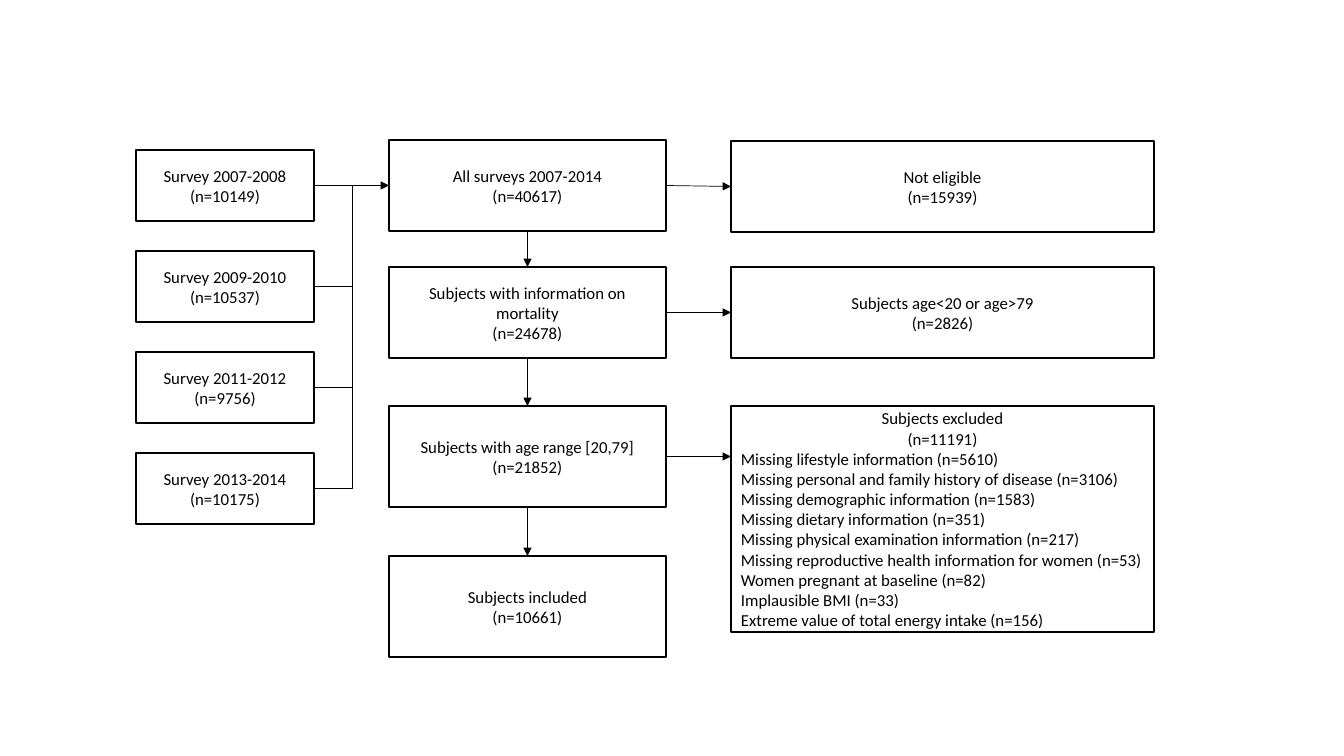
from pptx import Presentation, util as u
from pptx.dml.color import RGBColor
from pptx.enum import shapes, text
from pptx.oxml.ns import qn
from lxml import etree

EMU_PER_PX = 914400 / 100.8
BOTTOM, RIGHT = 2, 3
TOP, LEFT = 0, 1


def px(length):
    return u.Emu(round(length * EMU_PER_PX))


def colour(hex_string):
    return RGBColor.from_string(hex_string)


class FlowChart:
    FONT, SIZE = "Calibri", u.Pt(12)
    INK, PAPER = "000000", "FFFFFF"
    BOX_LINE, ARROW_LINE = u.Pt(1), u.Pt(0.5)

    def __init__(self, slide):
        self.slide = slide

    def box(self, left, top, width, height, centred, listed=()):
        """Draw a box with centred lines, then left-aligned listed lines."""
        shape = self.slide.shapes.add_shape(
            shapes.MSO_SHAPE.RECTANGLE, px(left), px(top), px(width), px(height))
        shape.shadow.inherit = False
        shape.fill.solid()
        shape.fill.fore_color.rgb = colour(self.PAPER)
        shape.line.color.rgb = colour(self.INK)
        shape.line.width = self.BOX_LINE
        frame = shape.text_frame
        frame.word_wrap = True
        frame.vertical_anchor = text.MSO_ANCHOR.MIDDLE
        frame.margin_top = frame.margin_bottom = 0
        frame.text = "\n".join([*centred, *listed])
        for index, paragraph in enumerate(frame.paragraphs):
            paragraph.alignment = (text.PP_ALIGN.CENTER if index < len(centred)
                                   else text.PP_ALIGN.LEFT)
            paragraph.font.name = self.FONT
            paragraph.font.size = self.SIZE
            paragraph.font.color.rgb = colour(self.INK)
        return shape

    def connector(self, begin, end, kind=shapes.MSO_CONNECTOR.STRAIGHT, arrow=False):
        line = self.slide.shapes.add_connector(kind, *map(px, (*begin, *end)))
        line.line.color.rgb = colour(self.INK)
        line.line.width = self.ARROW_LINE
        properties = line._element.spPr
        if arrow:
            etree.SubElement(properties.find(qn("a:ln")), qn("a:tailEnd"), type="triangle")
        etree.SubElement(properties, qn("a:effectLst"))
        return line

    def arrow(self, source, source_side, target, target_side):
        """Join the middles of two box sides with an arrow."""
        line = self.connector((0, 0), (0, 0), arrow=True)
        line.begin_connect(source, source_side)
        line.end_connect(target, target_side)

    def corner(self, begin, end):
        """Run horizontally from begin, then vertically to end."""
        line = self.connector(begin, end, shapes.MSO_CONNECTOR.ELBOW)
        line._element.spPr.find(qn("a:prstGeom")).set("prst", "bentConnector2")


SURVEYS = [
    ("Survey 2007-2008", "(n=10149)"),
    ("Survey 2009-2010", "(n=10537)"),
    ("Survey 2011-2012", "(n=9756)"),
    ("Survey 2013-2014", "(n=10175)"),
]
STAGES = [
    (140, 91, ("All surveys 2007-2014", "(n=40617)")),
    (267, 91, ("Subjects with information on mortality", "(n=24678)")),
    (406, 101, ("Subjects with age range [20,79]", "(n=21852)")),
    (556, 101, ("Subjects included", "(n=10661)")),
]
REASONS = [
    "Missing lifestyle information (n=5610)",
    "Missing personal and family history of disease (n=3106)",
    "Missing demographic information (n=1583)",
    "Missing dietary information (n=351)",
    "Missing physical examination information (n=217)",
    "Missing reproductive health information for women (n=53)",
    "Women pregnant at baseline (n=82)",
    "Implausible BMI (n=33)",
    "Extreme value of total energy intake (n=156)",
]
REMOVED = [
    (141, 91, ("Not eligible", "(n=15939)"), ()),
    (267, 91, ("Subjects age<20 or age>79", "(n=2826)"), ()),
    (406, 226, ("Subjects excluded", "(n=11191)"), REASONS),
]
SURVEY_LEFT, SURVEY_TOP, SURVEY_WIDTH, SURVEY_HEIGHT, SURVEY_STEP = 136, 150, 178, 71, 101
STAGE_LEFT, STAGE_WIDTH = 389, 277
REMOVED_LEFT, REMOVED_WIDTH = 731, 423
TRUNK_X = 352


def main():
    presentation = Presentation()
    presentation.slide_width, presentation.slide_height = px(1344), px(756)
    chart = FlowChart(presentation.slides.add_slide(presentation.slide_layouts[6]))

    surveys = [chart.box(SURVEY_LEFT, SURVEY_TOP + row * SURVEY_STEP,
                         SURVEY_WIDTH, SURVEY_HEIGHT, lines)
               for row, lines in enumerate(SURVEYS)]
    stages = [chart.box(STAGE_LEFT, top, STAGE_WIDTH, height, lines)
              for top, height, lines in STAGES]
    removed = [chart.box(REMOVED_LEFT, top, REMOVED_WIDTH, height, lines, listed)
               for top, height, lines, listed in REMOVED]

    survey_right = SURVEY_LEFT + SURVEY_WIDTH
    survey_middles = [SURVEY_TOP + SURVEY_HEIGHT / 2 + row * SURVEY_STEP
                      for row in range(len(SURVEYS))]
    chart.arrow(surveys[0], RIGHT, stages[0], LEFT)
    chart.corner((survey_right, survey_middles[-1]), (TRUNK_X, survey_middles[0]))
    for survey, middle in zip(surveys[1:-1], survey_middles[1:-1]):
        branch = chart.connector((survey_right, middle), (TRUNK_X, middle))
        branch.begin_connect(survey, RIGHT)

    for upper, lower in zip(stages, stages[1:]):
        chart.arrow(upper, BOTTOM, lower, TOP)
    for stage, box in zip(stages[:2], removed):
        chart.arrow(stage, RIGHT, box, LEFT)
    top, height, _ = STAGES[2]
    middle = top + height / 2
    exclusion = chart.connector((STAGE_LEFT + STAGE_WIDTH, middle),
                                (REMOVED_LEFT, middle), arrow=True)
    exclusion.begin_connect(stages[2], RIGHT)

    presentation.save("out.pptx")


if __name__ == "__main__":
    main()
